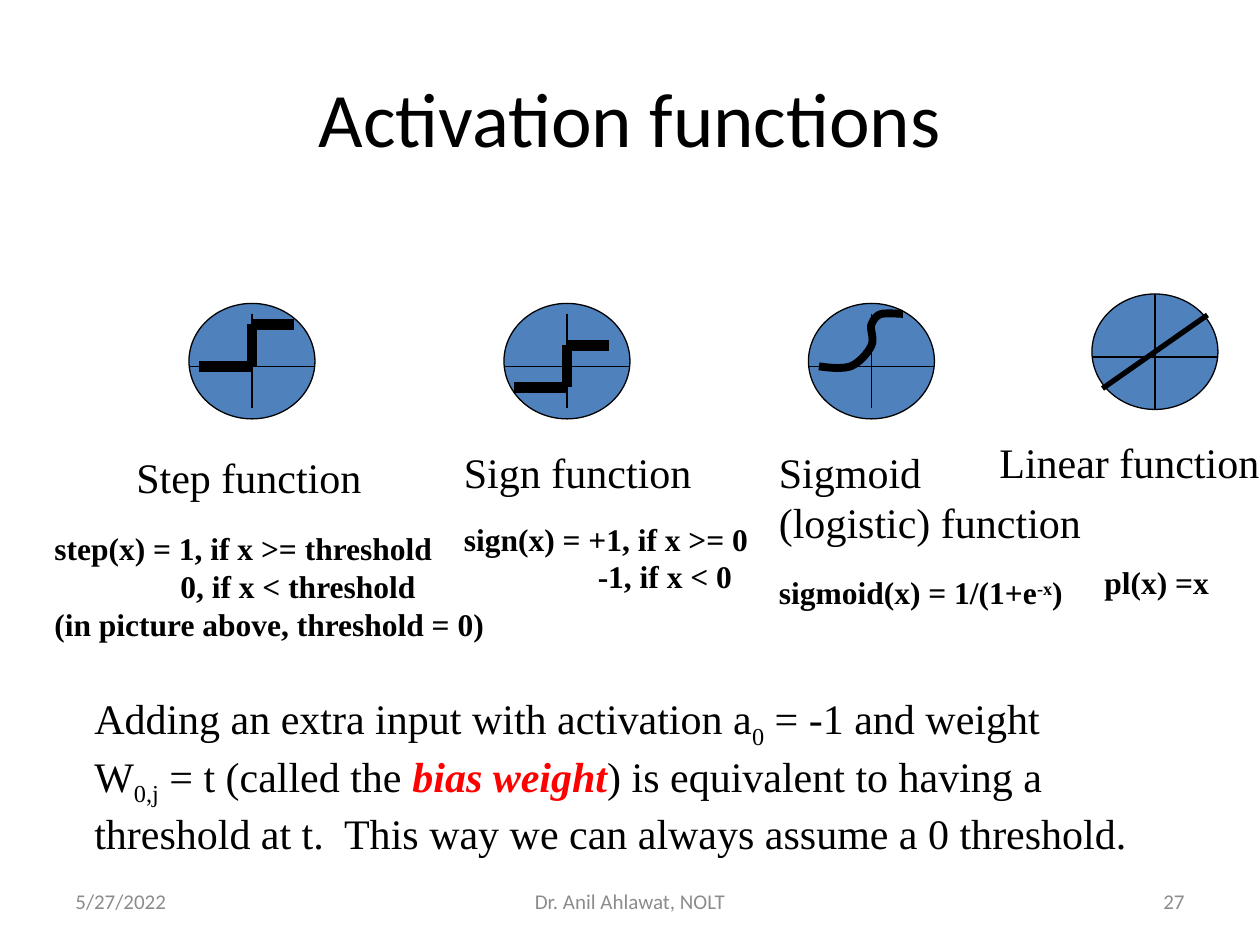
from lxml import etree
from pptx import Presentation
from pptx import util as u
from pptx.dml.color import RGBColor
from pptx.enum import shapes, text
from pptx.oxml.ns import qn

COLORS = {"ink": "000000", "disc": "4F81BD", "accent": "FF0000", "muted": "8C8C8C"}
COLS, ROWS = 120, 90
CELL = u.Inches(10) // COLS
DISC_W, DISC_H, AXIS = 12, 11, 6
SERIF = {"name": "Times New Roman", "color": "ink"}
HEADING = {**SERIF, "size": 24}
FORMULA = {**SERIF, "size": 18, "bold": True}
TITLE = {"name": "Calibri", "size": 44, "color": "ink"}
FOOTER = {"name": "Calibri", "size": 12, "color": "muted"}
SUB, SUP = {"baseline": -25000}, {"baseline": 30000}
ALIGN = text.PP_ALIGN


def grid(*values):
    """Turn grid units into whole EMU lengths."""
    return [u.Emu(round(v * CELL)) for v in values]


def rgb(key):
    """Look up a named colour."""
    return RGBColor.from_string(COLORS[key])


def format_run(r, fmt):
    """Set the run's font from a dict of format values."""
    for key, value in fmt.items():
        if key == "color":
            r.font.color.rgb = rgb(value)
        elif key == "baseline":
            r._r.get_or_add_rPr().set("baseline", str(value))
        else:
            setattr(r.font, key, u.Pt(value) if key == "size" else value)


def add_text(s, box, lines, fmt, align=ALIGN.LEFT, middle=False, wrap=False, indent=0):
    """Write lines of (text, format) spans in a box, indenting the second line."""
    tf = s.shapes.add_textbox(*grid(*box)).text_frame
    tf.word_wrap = wrap
    tf.vertical_anchor = text.MSO_ANCHOR.MIDDLE if middle else text.MSO_ANCHOR.TOP
    for i, line in enumerate(lines):
        p = tf.add_paragraph() if i else tf.paragraphs[0]
        p.alignment = align
        if indent and i == 1:
            p._p.get_or_add_pPr().set("marL", str(u.Pt(indent)))
        for words, extra in [(line, {})] if isinstance(line, str) else line:
            r = p.add_run()
            r.text = words
            format_run(r, {**fmt, **extra})


def add_line(s, x, y, start, end, width):
    """Draw a straight line between two points measured from x, y."""
    ends = grid(x + start[0], y + start[1], x + end[0], y + end[1])
    sp = s.shapes.add_connector(shapes.MSO_CONNECTOR.STRAIGHT, *ends)
    sp.line.color.rgb = rgb("ink")
    sp.line.width = u.Pt(width)
    etree.SubElement(sp._element.spPr, qn("a:effectLst"))


def add_disc(s, x, y, top, bottom):
    """Draw a unit's disc with its two axes."""
    sp = s.shapes.add_shape(shapes.MSO_SHAPE.OVAL, *grid(x, y, DISC_W, DISC_H))
    sp.shadow.inherit = False
    sp.fill.solid()
    sp.fill.fore_color.rgb = rgb("disc")
    sp.line.color.rgb = rgb("ink")
    sp.line.width = u.Pt(0.75)
    add_line(s, x, y, (DISC_W / 2, top), (DISC_W / 2, bottom), 0.75)
    add_line(s, x, y, (0, AXIS), (DISC_W, AXIS), 0.75)


def add_graph(s, x, y, points, width, top=1, bottom=10):
    """Draw a disc with a function graph made of straight parts."""
    add_disc(s, x, y, top, bottom)
    for start, end in zip(points, points[1:]):
        add_line(s, x, y, start, end, width)


def bezier(points, steps=12):
    """Sample a chain of cubic curves that share their end points."""
    result = [points[0]]
    for i in range(0, len(points) - 1, 3):
        for t in (k / steps for k in range(1, steps + 1)):
            weights = ((1 - t) ** 3, 3 * t * (1 - t) ** 2, 3 * t * t * (1 - t), t ** 3)
            result.append(tuple(sum(w * q[a] for w, q in zip(weights, points[i:i + 4]))
                                for a in (0, 1)))
    return result


def add_sigmoid(s, x, y):
    """Draw a disc with the smooth logistic curve."""
    add_disc(s, x, y, 1, 10)
    controls = [(1, 6), (2.1, 6.15), (3.2, 6.25), (4, 6), (4.8, 5.7), (5.7, 4.7), (6, 4),
                (6.3, 3.3), (5.8, 2.4), (6, 2), (6.2, 1.5), (6.5, 1.1), (7, 1),
                (7.5, 0.9), (8.7, 1), (9, 1)]
    points = [grid(x + a, y + b) for a, b in bezier(controls)]
    builder = s.shapes.build_freeform(*points[0])
    builder.add_line_segments(points[1:], close=False)
    sp = builder.convert_to_shape()
    sp.shadow.inherit = False
    sp.fill.background()
    sp.line.color.rgb = rgb("ink")
    sp.line.width = u.Pt(4.5)


def add_graphs(s, y):
    """Place the row of four function graphs."""
    add_graph(s, 18, y, [(1, 6), (6, 6), (6, 2), (10, 2)], 6)
    add_graph(s, 48, y, [(1, 8), (6, 8), (6, 4), (10, 4)], 6)
    add_sigmoid(s, 77, y)
    add_graph(s, 104, y - 0.9, [(1, 9), (11, 2)], 3, 0, DISC_H)


def add_captions(s):
    """Name each function and give its formula."""
    add_text(s, (11.8, 42.4, 23.9, 6), ["Step function"], HEADING)
    add_text(s, (43, 41.9, 24.1, 6), ["Sign function"], HEADING)
    add_text(s, (73, 41.9, 43, 10.8), ["Sigmoid", "(logistic) function"], HEADING, wrap=True)
    add_text(s, (94, 41, 28, 6), ["Linear function"], HEADING, wrap=True)
    add_text(s, (4, 49.8, 43.4, 12),
             ["step(x) = 1, if x >= threshold", "0, if x < threshold",
              "(in picture above, threshold = 0)"], FORMULA, indent=72)
    add_text(s, (43, 48.9, 29.5, 8.4), ["sign(x) = +1, if x >= 0", "-1, if x < 0"],
             FORMULA, indent=76.5)
    add_text(s, (73, 54, 29.6, 4.8),
             [[("sigmoid(x) = 1/(1+e", {}), ("-x", SUP), (")", {})]], FORMULA)
    add_text(s, (104, 53, 12.4, 4.8), ["pl(x) =x"], FORMULA)


def add_note(s, box):
    """Write the remark on the bias weight."""
    bias = {"color": "accent", "bold": True, "italic": True}
    add_text(s, box, [
        [("Adding an extra input with activation a", {}), ("0", SUB),
         (" = -1 and weight", {})],
        [("W", {}), ("0,j", SUB), (" = t (called the ", {}), ("bias weight", bias),
         (") is equivalent to having a", {})],
        "threshold at t.  This way we can always assume a 0 threshold."], HEADING)


def add_footer(s, y, h):
    """Write the date, author and slide number."""
    for x, w, words, align in ((6, 28, "5/27/2022", ALIGN.LEFT),
                               (41, 38, "Dr. Anil Ahlawat, NOLT", ALIGN.CENTER),
                               (86, 28, "27", ALIGN.RIGHT)):
        add_text(s, (x, y, w, h), [words], FOOTER, align, middle=True, wrap=True)


def main():
    """Build and save the slide."""
    prs = Presentation()
    prs.slide_width, prs.slide_height = COLS * CELL, ROWS * CELL
    s = prs.slides.add_slide(prs.slide_layouts[6])
    add_text(s, (6, 3.6, 108, 15), ["Activation functions"], TITLE, ALIGN.CENTER,
             middle=True, wrap=True)
    add_graphs(s, 28.9)
    add_captions(s)
    add_note(s, (7.8, 65.4, 100.8, 15.6))
    add_footer(s, 83.4, 4.8)
    prs.save("out.pptx")


if __name__ == "__main__":
    main()
